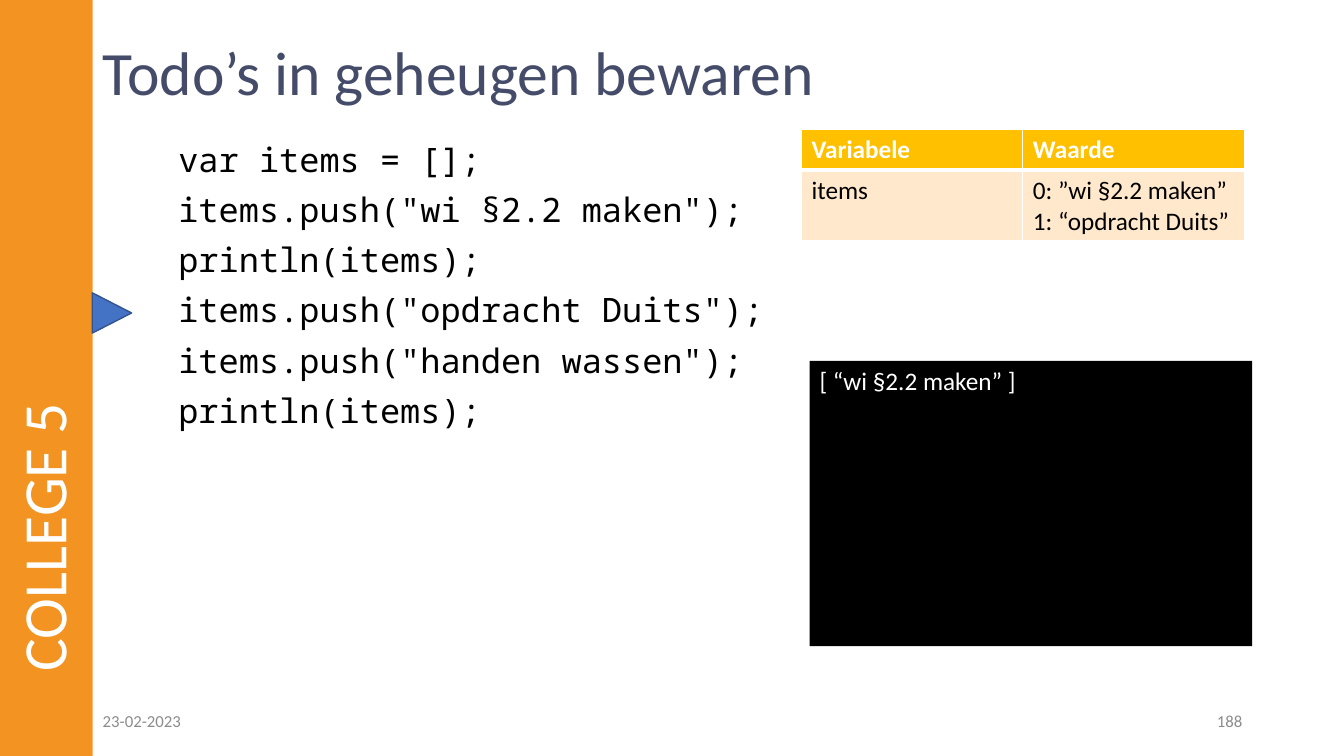
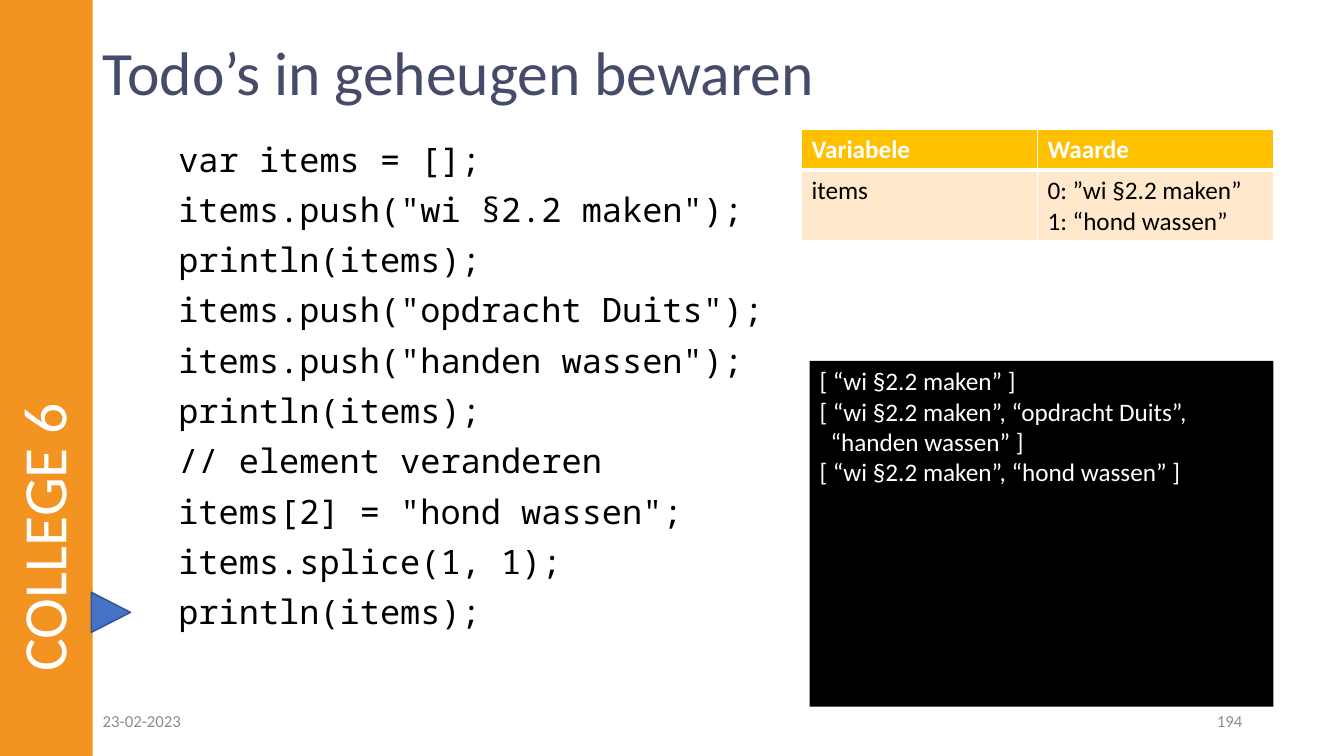
from lxml import etree
from pptx import Presentation
from pptx.dml.color import RGBColor
from pptx.enum.shapes import MSO_SHAPE
from pptx.enum.text import MSO_ANCHOR, MSO_AUTO_SIZE, PP_ALIGN
from pptx.oxml.ns import qn
from pptx.util import Emu, Pt

TITLE = "Todo’s in geheugen bewaren"
DATE = "23-02-2023"
HEADINGS = ["Variabele", "Waarde"]
BASE_CODE = [
    "var items = [];",
    'items.push("wi §2.2 maken");',
    "println(items);",
    'items.push("opdracht Duits");',
    'items.push("handen wassen");',
    "println(items);",
]
SLIDES = [
    {
        "lecture": "COLLEGE 5",
        "page": "188",
        "code": BASE_CODE,
        "values": ["items", "0: ”wi §2.2 maken”\n1: “opdracht Duits”"],
        "table_width": 439,
        "output": ["[ “wi §2.2 maken” ]"],
        "output_size": (439, 283),
        "pointer": (91, 291),
    },
    {
        "lecture": "COLLEGE 6",
        "page": "194",
        "code": BASE_CODE + [
            "// element veranderen",
            'items[2] = "hond wassen";',
            "items.splice(1, 1);",
            "println(items);",
        ],
        "values": ["items", "0: ”wi §2.2 maken”\n1: “hond wassen”"],
        "table_width": 468,
        "output": [
            "[ “wi §2.2 maken” ]",
            "[ “wi §2.2 maken”, “opdracht Duits”,\v“handen wassen” ]",
            "[ “wi §2.2 maken”, “hond wassen” ]",
        ],
        "output_size": (460, 343),
        "pointer": (90, 588),
    },
]

COLORS = {
    "band": "F39322", "title": "454C69", "footer": "8C8C8C",
    "header": "FFC000", "row": "FFE8CC", "pointer": "4472C4",
    "pointer_line": "325491", "black": "000000", "white": "FFFFFF",
}
SANS, MONO = "Calibri", "Noto Sans Mono"
SLIDE_W, SLIDE_H = 1333, 750
BAND_W, BAND_INSET = 92, 84
ROW_HEIGHTS = [41, 70]
OUTPUT_INDENT = 11


def px(length):
    return Emu(length * 9144)


def box(left, top, width, height):
    return px(left), px(top), px(width), px(height)


def color(name):
    return RGBColor.from_string(COLORS[name])


def write(frame, lines, size, ink, font=SANS, align=PP_ALIGN.LEFT,
          anchor=MSO_ANCHOR.TOP, bold=False, spacing=None, gap=0, hanging=0):
    frame.text = "\n".join(lines)
    frame.vertical_anchor = anchor
    for index, paragraph in enumerate(frame.paragraphs):
        paragraph.alignment = align
        if spacing:
            paragraph.line_spacing = spacing
        if gap and index:
            paragraph.space_before = Pt(gap)
        if hanging:
            properties = paragraph._p.get_or_add_pPr()
            properties.set("marL", str(px(hanging)))
            properties.set("indent", str(px(-hanging)))
        paragraph.font.name = font
        paragraph.font.size = Pt(size)
        paragraph.font.bold = bold
        paragraph.font.color.rgb = color(ink)


def add_text(slide, place, lines, size, ink, **style):
    frame = slide.shapes.add_textbox(*box(*place)).text_frame
    frame.word_wrap = True
    write(frame, lines, size, ink, **style)


def add_block(slide, preset, place, fill, line=None, rotation=0):
    block = slide.shapes.add_shape(preset, *box(*place))
    block.shadow.inherit = False
    block.rotation = rotation
    block.fill.solid()
    block.fill.fore_color.rgb = color(fill)
    if line:
        block.line.color.rgb = color(line)
        block.line.width = Pt(1)
    else:
        block.line.fill.background()
    return block


def add_borders(cell, widths):
    properties = cell._tc.get_or_add_tcPr()
    for side, width in zip("LRTB", widths):
        border = etree.SubElement(properties, qn(f"a:ln{side}"), w=str(Pt(width)))
        fill = etree.SubElement(border, qn("a:solidFill"))
        etree.SubElement(fill, qn("a:srgbClr"), val=COLORS["white"])


def add_frame(slide, lecture, page):
    title = slide.shapes.title
    title.left, title.top, title.width, title.height = box(92, 32, 1150, 86)
    write(title.text_frame, [TITLE], 44, "title", anchor=MSO_ANCHOR.MIDDLE, spacing=0.9)
    title.text_frame.auto_size = MSO_AUTO_SIZE.NONE

    offset = (SLIDE_H - BAND_W) // 2
    band = add_block(slide, MSO_SHAPE.RECTANGLE,
                     (-offset, offset, SLIDE_H, BAND_W), "band", rotation=270)
    band.text_frame.margin_left = px(BAND_INSET)
    write(band.text_frame, [lecture], 44, "white", anchor=MSO_ANCHOR.MIDDLE, spacing=0.9)

    for left, text, align in [(92, DATE, PP_ALIGN.LEFT), (942, page, PP_ALIGN.RIGHT)]:
        add_text(slide, (left, 695, 300, 40), [text], 12, "footer",
                 align=align, anchor=MSO_ANCHOR.MIDDLE)


def add_variables(slide, values, width):
    place = box(795, 128, width, sum(ROW_HEIGHTS))
    table = slide.shapes.add_table(2, len(HEADINGS), *place).table
    for column in table.columns:
        column.width = px(width) // len(HEADINGS)
    rows = [
        (HEADINGS, "header", "white", True, (1, 1, 1, 3)),
        (values, "row", "black", False, (1, 1, 3, 1)),
    ]
    for r, (texts, fill, ink, bold, widths) in enumerate(rows):
        table.rows[r].height = px(ROW_HEIGHTS[r])
        for c, text in enumerate(texts):
            cell = table.cell(r, c)
            add_borders(cell, widths)
            cell.fill.solid()
            cell.fill.fore_color.rgb = color(fill)
            write(cell.text_frame, text.split("\n"), 18, ink, bold=bold)


def add_lesson(deck, lesson):
    slide = deck.slides.add_slide(deck.slide_layouts[5])
    add_frame(slide, lesson["lecture"], lesson["page"])
    add_text(slide, (167, 137, 629, 539), lesson["code"], 24, "black",
             font=MONO, spacing=0.9, gap=10)
    add_variables(slide, lesson["values"], lesson["table_width"])
    console = add_block(slide, MSO_SHAPE.RECTANGLE,
                        (803, 358, *lesson["output_size"]), "black")
    write(console.text_frame, lesson["output"], 18, "white", hanging=OUTPUT_INDENT)
    add_block(slide, MSO_SHAPE.ISOSCELES_TRIANGLE, (*lesson["pointer"], 40, 39),
              "pointer", "pointer_line", rotation=90)


def main():
    deck = Presentation()
    deck.slide_width, deck.slide_height = px(SLIDE_W), px(SLIDE_H)
    for lesson in SLIDES:
        add_lesson(deck, lesson)
    deck.save("out.pptx")


if __name__ == "__main__":
    main()
